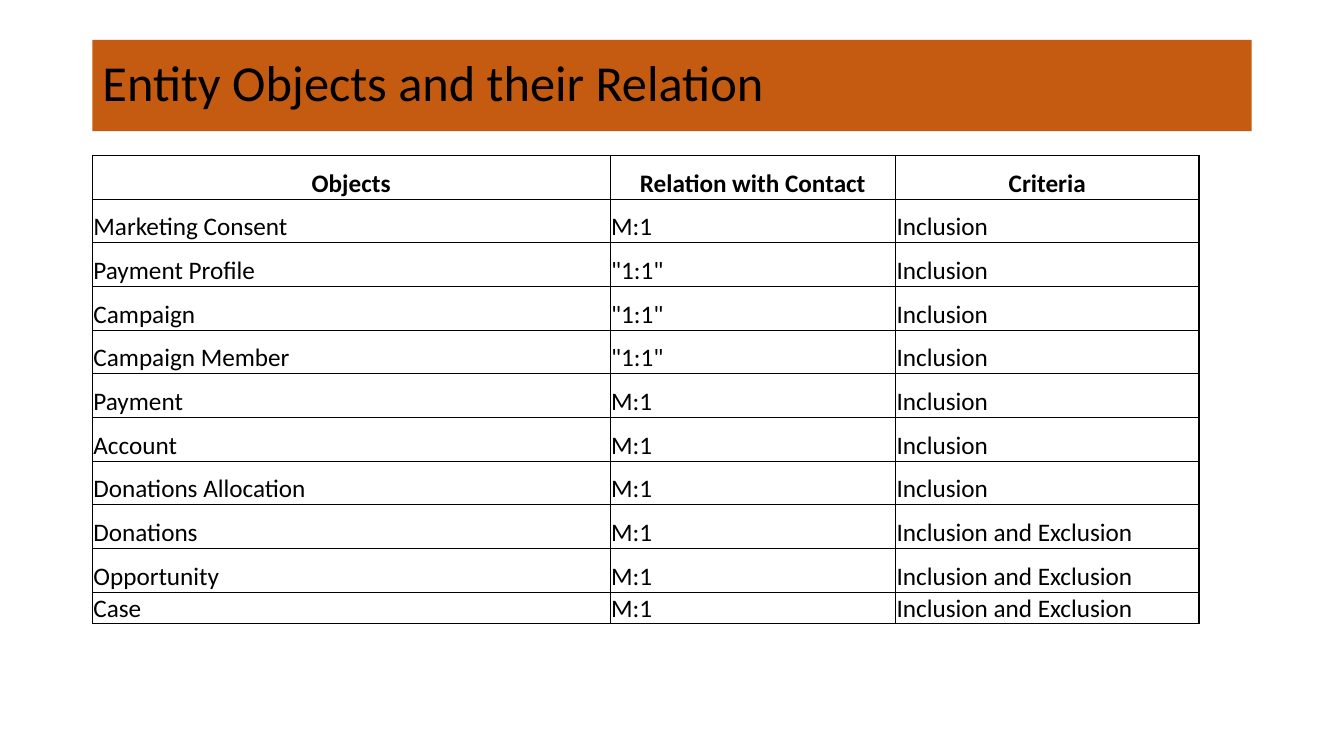
import dataclasses

import lxml.etree
import pptx
import pptx.dml.color
import pptx.enum.text
import pptx.oxml.ns
import pptx.util

SCALE = 9525  # EMU in one px
FONT = "Calibri"
BLACK = "000000"
ORANGE = "C55A11"
ALIGN = pptx.enum.text.PP_ALIGN
ANCHOR = pptx.enum.text.MSO_ANCHOR


@dataclasses.dataclass
class Column:
    head: str
    width: int


@dataclasses.dataclass
class Entity:
    name: str
    relation: str = "M:1"
    criteria: str = "Inclusion"


COLUMNS = [
    Column("Objects", 493),
    Column("Relation with Contact", 272),
    Column("Criteria", 289),
]
BOTH = "Inclusion and Exclusion"
ENTITIES = [
    Entity("Marketing Consent"),
    Entity("Payment Profile", '"1:1"'),
    Entity("Campaign", '"1:1"'),
    Entity("Campaign Member", '"1:1"'),
    Entity("Payment"),
    Entity("Account"),
    Entity("Donations Allocation"),
    Entity("Donations", criteria=BOTH),
    Entity("Opportunity", criteria=BOTH),
    Entity("Case", criteria=BOTH),
]


def px(length: float) -> pptx.util.Emu:
    return pptx.util.Emu(round(length * SCALE))


def color(code: str) -> pptx.dml.color.RGBColor:
    return pptx.dml.color.RGBColor.from_string(code)


def write(frame, text: str, size: int, align, bold: bool = False) -> None:
    frame.text = text
    line = frame.paragraphs[0]
    line.alignment = align
    font = line.runs[0].font
    font.name = FONT
    font.size = pptx.util.Pt(size)
    font.bold = bold
    font.color.rgb = color(BLACK)


def border(cell, widths: dict[str, float]) -> None:
    # Borders come before the fill in the cell properties
    props = cell._tc.get_or_add_tcPr()
    qn = pptx.oxml.ns.qn
    for index, (side, width) in enumerate(widths.items()):
        line = lxml.etree.Element(qn(f"a:ln{side}"), w=str(pptx.util.Pt(width)))
        fill = lxml.etree.SubElement(line, qn("a:solidFill"))
        lxml.etree.SubElement(fill, qn("a:srgbClr"), val=BLACK)
        props.insert(index, line)


def add_title(slide, text: str) -> None:
    title = slide.shapes.title
    title.left, title.top, title.width, title.height = map(px, (88, 38, 1104, 87))
    title.fill.solid()
    title.fill.fore_color.rgb = color(ORANGE)
    write(title.text_frame, text, 36, ALIGN.LEFT)
    title.text_frame.vertical_anchor = ANCHOR.MIDDLE
    title.text_frame.paragraphs[0].line_spacing = 0.9


def add_grid(slide) -> None:
    rows = [[column.head for column in COLUMNS]]
    rows += [dataclasses.astuple(entity) for entity in ENTITIES]
    last, right = len(rows) - 1, len(COLUMNS) - 1
    width = sum(column.width for column in COLUMNS)
    frame = slide.shapes.add_table(
        len(rows), len(COLUMNS), px(88), px(148), px(width), px(445)
    )
    table = frame.table
    table.first_row = table.horz_banding = False
    for track, column in zip(table.columns, COLUMNS):
        track.width = px(column.width)

    # The last row is only as tall as its text
    for r, texts in enumerate(rows):
        table.rows[r].height = px(29 if r == last else 41.6)
        for c, text in enumerate(texts):
            cell = table.cell(r, c)
            cell.margin_left = cell.margin_right = cell.margin_top = px(1)
            cell.margin_bottom = 0
            cell.vertical_anchor = ANCHOR.BOTTOM
            cell.fill.background()
            head = r == 0
            write(cell.text_frame, text, 18, ALIGN.CENTER if head else ALIGN.LEFT, head)
            # Outer edges are twice as thick as inner ones
            outer = {"L": c == 0, "R": c == right, "T": head, "B": r == last}
            border(cell, {side: 1 if edge else 0.5 for side, edge in outer.items()})


def main() -> None:
    deck = pptx.Presentation()
    deck.slide_width, deck.slide_height = px(1280), px(720)
    slide = deck.slides.add_slide(deck.slide_layouts.get_by_name("Title Only"))
    add_title(slide, "Entity Objects and their Relation")
    add_grid(slide)
    deck.save("out.pptx")


if __name__ == "__main__":
    main()
